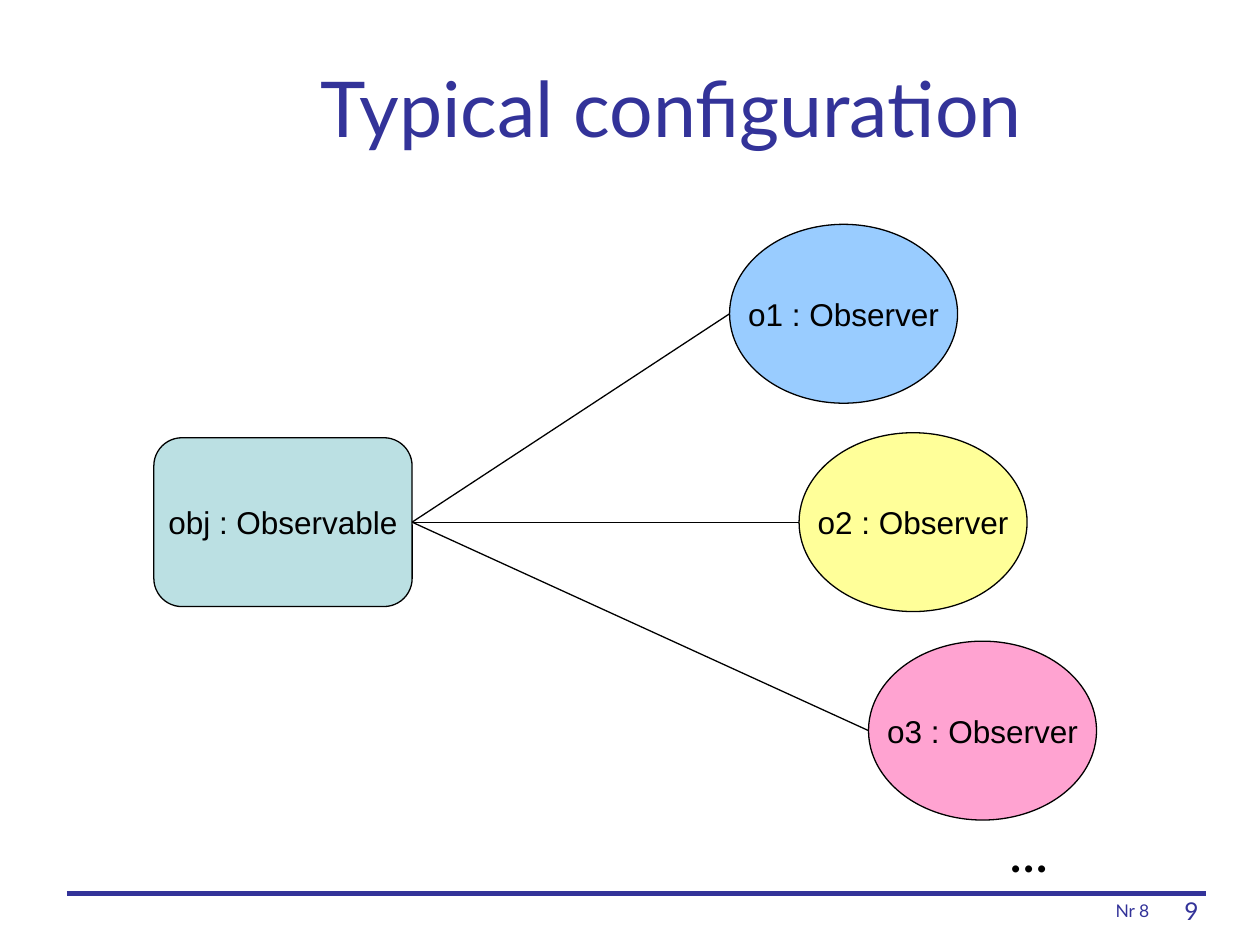
import pptx
import pptx.dml.color
import pptx.enum.shapes
import pptx.enum.text
import pptx.oxml
import pptx.oxml.ns
import pptx.util

Pt = pptx.util.Pt
Shapes = pptx.enum.shapes.MSO_SHAPE
Align = pptx.enum.text.PP_ALIGN
Anchor = pptx.enum.text.MSO_ANCHOR

NAVY = "333399"
BLACK = "000000"
OBSERVERS = [
    ("o1 : Observer", "99CCFF", 100),
    ("o2 : Observer", "FFFF99", 100),
    ("o3 : Observer", "FF99CC", 90),
]


def color(hex_string):
    return pptx.dml.color.RGBColor.from_string(hex_string)


def write_text(shape, text, size, font, hex_color, align, anchor, wrap=True):
    frame = shape.text_frame
    frame.word_wrap = wrap
    frame.vertical_anchor = anchor
    paragraph = frame.paragraphs[0]
    paragraph.alignment = align
    run = paragraph.add_run()
    run.text = text
    run.font.size = Pt(size)
    run.font.name = font
    run.font.color.rgb = color(hex_color)


def add_label(slide, box, text, size, hex_color, align, anchor=Anchor.TOP):
    label = slide.shapes.add_textbox(*map(Pt, box))
    write_text(label, text, size, "Lato", hex_color, align, anchor)


def add_line(slide, start, end, hex_color, width):
    line = slide.shapes.add_connector(
        pptx.enum.shapes.MSO_CONNECTOR.STRAIGHT, *map(Pt, (*start, *end)))
    line.line.color.rgb = color(hex_color)
    line.line.width = Pt(width)
    properties = line._element.spPr
    properties.append(properties.makeelement(pptx.oxml.ns.qn("a:effectLst"), {}))


def add_node(slide, kind, box, text, fill, opacity=100):
    node = slide.shapes.add_shape(kind, *map(Pt, box))
    node.shadow.inherit = False
    node.fill.solid()
    node.fill.fore_color.rgb = color(fill)
    if opacity < 100:
        fill_color = node._element.spPr.find(".//" + pptx.oxml.ns.qn("a:srgbClr"))
        alpha = fill_color.makeelement(
            pptx.oxml.ns.qn("a:alpha"), {"val": str(opacity * 1000)})
        fill_color.append(alpha)
    node.line.color.rgb = color(BLACK)
    node.line.width = Pt(0.75)
    write_text(node, text, 18, "Arial", BLACK, Align.CENTER, Anchor.MIDDLE, wrap=False)


def add_observer_diagram(slide, left, top):
    """Links one observable to a diagonal cascade of observers."""
    width, height = 130.3, 102.2
    step_x, step_y = 39.7, 119.1
    observable_width, observable_height = 147.6, 96.5
    middle = top + step_y + height / 2
    observable_box = (left, middle - observable_height / 2,
                      observable_width, observable_height)
    add_node(slide, Shapes.ROUNDED_RECTANGLE, observable_box,
             "obj : Observable", "BBE0E3")

    corners = [(left + 329 + index * step_x, top + index * step_y)
               for index in range(len(OBSERVERS))]
    for corner, (text, fill, opacity) in zip(corners, OBSERVERS):
        add_node(slide, Shapes.OVAL, (*corner, width, height), text, fill, opacity)
    for oval_left, oval_top in corners:
        add_line(slide, (left + observable_width, middle),
                 (oval_left, oval_top + height / 2), BLACK, 0.75)
    add_label(slide, (left + 481.7, top + 334.8, 85, 46), "...", 32, BLACK, Align.LEFT)


def add_footer(slide, left, top, width):
    right = left + width
    add_line(slide, (left, top), (right, top), NAVY, 3)
    add_label(slide, (right - 153.4, top - 2.2, 128.2, 21.6), "Nr 8", 10, NAVY,
              Align.RIGHT, Anchor.BOTTOM)
    add_label(slide, (right - 35.3, top - 2.2, 41.8, 23.8), "9 ", 14, NAVY, Align.RIGHT)


def main():
    presentation = pptx.Presentation()
    presentation.slide_width = Pt(720)
    presentation.slide_height = Pt(540)
    slide = presentation.slides.add_slide(presentation.slide_layouts[6])
    add_footer(slide, 38.2, 510.5, 650.8)
    add_label(slide, (77.8, 15.8, 612, 90), "Typical configuration", 44, NAVY,
              Align.CENTER, Anchor.MIDDLE)
    add_observer_diagram(slide, 87.9, 128.2)
    presentation.save("out.pptx")


if __name__ == "__main__":
    main()
